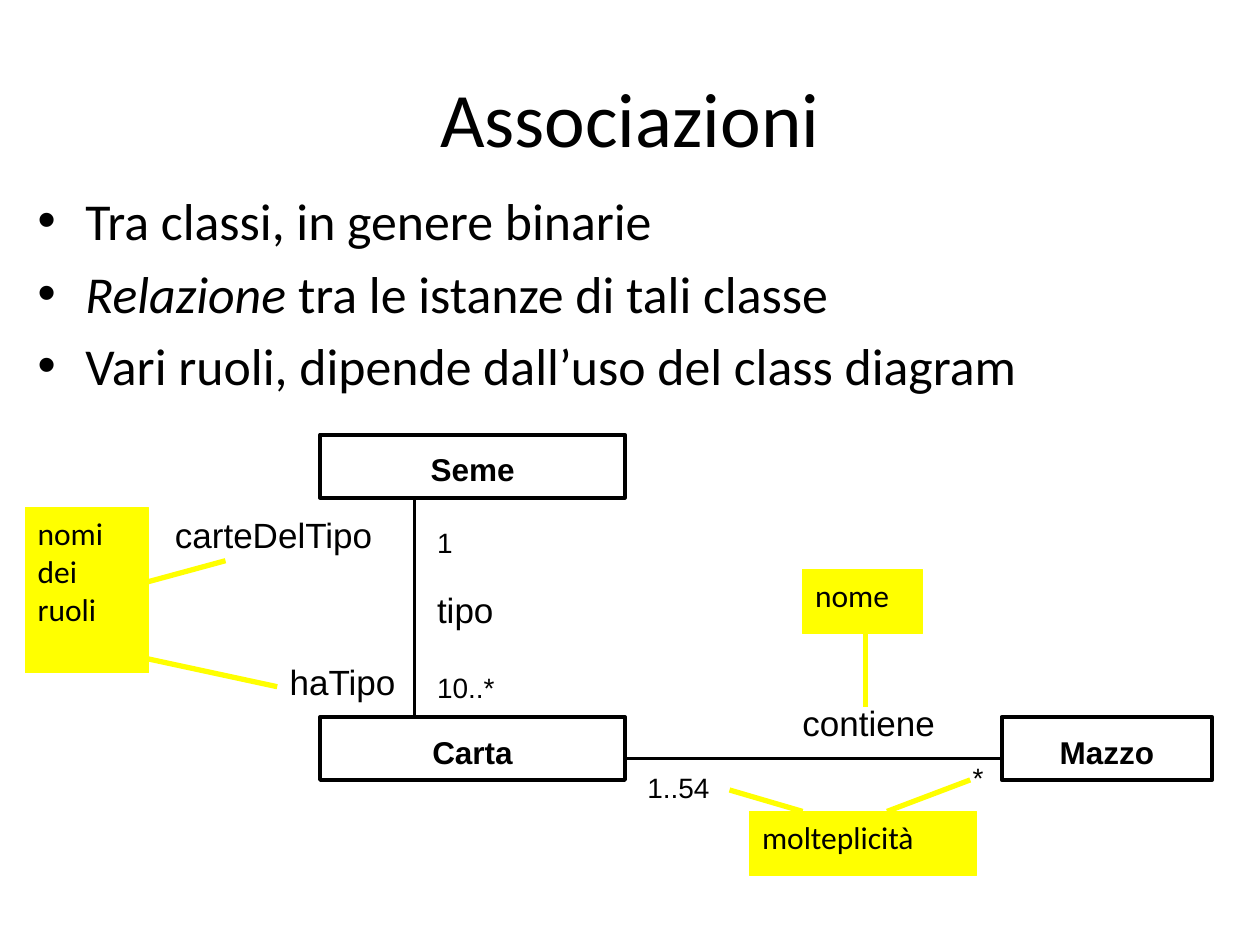
from dataclasses import dataclass

from lxml.etree import SubElement
from pptx import Presentation
from pptx.dml.color import RGBColor
from pptx.enum.shapes import MSO_CONNECTOR, MSO_SHAPE
from pptx.enum.text import MSO_ANCHOR, PP_ALIGN
from pptx.oxml.ns import qn
from pptx.util import Inches, Pt


@dataclass(frozen=True)
class Theme:
    """Colours, fonts and type sizes of the slide."""

    ink: RGBColor = RGBColor(0, 0, 0)
    highlight: RGBColor = RGBColor(255, 255, 0)
    text_font: str = "Calibri"
    diagram_font: str = "Arial"
    title: float = 44
    bullet: float = 29.6
    role: float = 20
    class_name: float = 18
    multiplicity: float = 16
    diagram_line: float = 2.25
    note_line: float = 3
    note_border: float = 0.75


THEME = Theme()
CELL = Inches(0.1)
COLUMNS, ROWS = 100, 75


def grid(*cells):
    """Turn counts of grid columns or rows into lengths."""
    return [round(cell * CELL) for cell in cells]


def apply_format(target, values):
    """Set each attribute named in a dict of format values."""
    for name, value in values.items():
        setattr(target, name, value)


def add_run(paragraph, text, size, font, **extra):
    """Append a formatted run to a paragraph."""
    run = paragraph.add_run()
    run.text = text
    apply_format(run.font, {"size": Pt(size), "name": font, **extra})
    run.font.color.rgb = THEME.ink


def write_lines(shape, lines, size, font, align=PP_ALIGN.LEFT, **extra):
    """Write one paragraph for each line."""
    frame = shape.text_frame
    frame.word_wrap = True
    for index, line in enumerate(lines):
        paragraph = frame.add_paragraph() if index else frame.paragraphs[0]
        paragraph.alignment = align
        add_run(paragraph, line, size, font, **extra)


def set_title(slide, text):
    """Place and format the title placeholder."""
    left, top, width, height = grid(5, 3, 90, 12.5)
    title = slide.shapes.title
    apply_format(title, {"left": left, "top": top, "width": width, "height": height})
    title.text_frame.vertical_anchor = MSO_ANCHOR.MIDDLE
    write_lines(title, [text], THEME.title, THEME.text_font, PP_ALIGN.CENTER)


def add_bullets(slide, box, items):
    """Add a bulleted list whose items are (text, italic) pairs."""
    frame = slide.shapes.add_textbox(*grid(*box)).text_frame
    frame.word_wrap = True
    for index, item in enumerate(items):
        paragraph = frame.add_paragraph() if index else frame.paragraphs[0]
        paragraph.space_before = Pt(0.2 * THEME.bullet)
        for text, italic in item:
            add_run(paragraph, text, THEME.bullet, THEME.text_font, italic=italic)
        properties = paragraph._p.get_or_add_pPr()
        indent = Inches(0.38)
        properties.set("marL", str(indent))
        properties.set("indent", str(-indent))
        SubElement(properties, qn("a:buFont"), typeface="Arial")
        SubElement(properties, qn("a:buChar"), char="•")


def add_rectangle(slide, box, color, weight):
    """Add an outlined rectangle without shadow or fill."""
    rectangle = slide.shapes.add_shape(MSO_SHAPE.RECTANGLE, *grid(*box))
    rectangle.shadow.inherit = False
    rectangle.fill.background()
    rectangle.line.color.rgb = color
    rectangle.line.width = Pt(weight)
    return rectangle


def add_class(slide, name, left, top, width):
    """Add a class box with its centred name."""
    box = add_rectangle(slide, (left, top, width, 5), THEME.ink, THEME.diagram_line)
    apply_format(box.text_frame, {"vertical_anchor": MSO_ANCHOR.MIDDLE, "margin_top": Inches(0.1)})
    write_lines(box, [name], THEME.class_name, THEME.diagram_font, PP_ALIGN.CENTER, bold=True)


def add_note(slide, lines, box):
    """Add a highlighted note."""
    note = add_rectangle(slide, box, THEME.highlight, THEME.note_border)
    note.fill.solid()
    note.fill.fore_color.rgb = THEME.highlight
    note.text_frame.vertical_anchor = MSO_ANCHOR.TOP
    write_lines(note, lines, THEME.class_name, THEME.text_font)


def add_label(slide, text, left, top, size, width=12.5):
    """Add a label of the diagram."""
    label = slide.shapes.add_textbox(*grid(left, top, width, 4))
    write_lines(label, [text], size, THEME.diagram_font)


def add_line(slide, ends, color, weight):
    """Add a straight line between two grid points."""
    line = slide.shapes.add_connector(MSO_CONNECTOR.STRAIGHT, *grid(*ends))
    line.line.color.rgb = color
    line.line.width = Pt(weight)
    SubElement(line._element.spPr, qn("a:effectLst"))


def main():
    """Build the slide on associations."""
    presentation = Presentation()
    presentation.slide_width, presentation.slide_height = grid(COLUMNS, ROWS)
    slide = presentation.slides.add_slide(presentation.slide_layouts[5])

    set_title(slide, "Associazioni")
    add_bullets(slide, (2, 14.5, 93.3, 17.5), [
        [("Tra classi, in genere binarie", False)],
        [("Relazione ", True), ("tra le istanze di tali classe", False)],
        [("Vari ruoli, dipende dall’uso del class diagram", False)],
    ])

    for name, left, top, width in (
        ("Carta", 25.4, 56.9, 24.2),
        ("Seme", 25.4, 34.5, 24.2),
        ("Mazzo", 79.5, 56.9, 16.7),
    ):
        add_class(slide, name, left, top, width)
    for ends in ((49.5, 60.2, 79.5, 60.2), (32.9, 56.9, 32.9, 39.5)):
        add_line(slide, ends, THEME.ink, THEME.diagram_line)

    for lines, box in (
        (["nome"], (63.7, 45.2, 9.5, 5.1)),
        (["molteplicità"], (59.5, 64.4, 18, 5.1)),
        (["nomi", "dei", "ruoli"], (2, 40.3, 9.8, 13.1)),
    ):
        add_note(slide, lines, box)
    for ends in (
        (68.7, 50.2, 68.7, 56.1),
        (77, 61.9, 70.4, 64.4),
        (57.9, 62.7, 63.7, 64.4),
        (10.4, 52, 22, 54.5),
        (8.7, 47, 17.9, 44.5),
    ):
        add_line(slide, ends, THEME.highlight, THEME.note_line)

    for text, left, top in (("contiene", 62.7, 55.2), ("haTipo", 22, 51.9), ("tipo", 33.7, 46.2)):
        add_label(slide, text, left, top, THEME.role)
    add_label(slide, "carteDelTipo", 12.9, 40.3, THEME.role, 18.4)
    for text, left, top in (
        ("*", 76.2, 59.9),
        ("1..54", 50.4, 60.7),
        ("10..*", 33.7, 52.7),
        ("1", 33.7, 41.2),
    ):
        add_label(slide, text, left, top, THEME.multiplicity)

    presentation.save("out.pptx")


if __name__ == "__main__":
    main()
